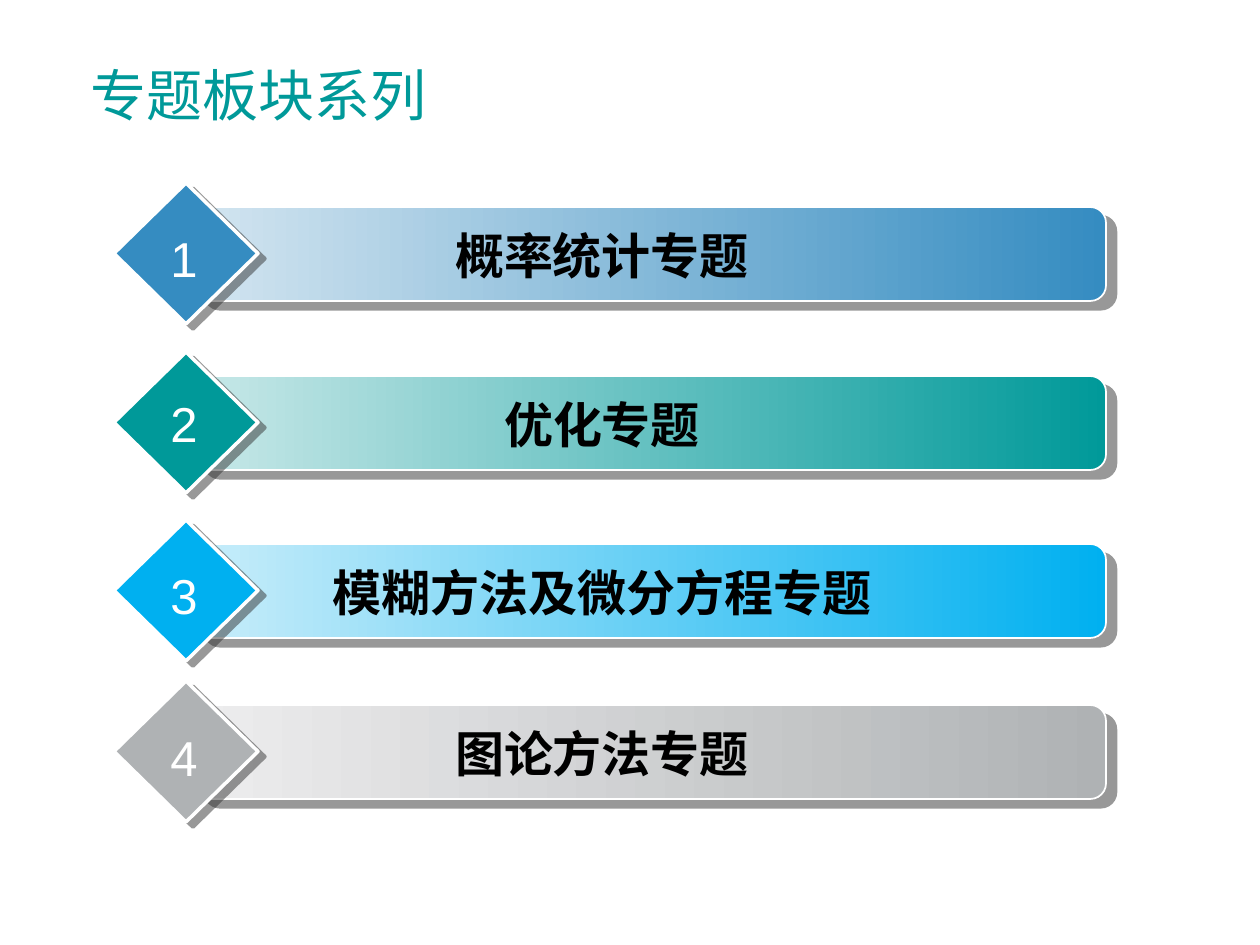
from lxml import etree
from pptx import Presentation
from pptx import util as u
from pptx.dml.color import RGBColor
from pptx.enum import shapes, text
from pptx.oxml import ns

SCALE = 914400 / 126
COLORS = {
    "title": "009999",
    "text": "000000",
    "white": "FFFFFF",
    "shadow": "333333",
    "blue": "358CC1",
    "blue_pale": "D3E5F0",
    "teal": "009999",
    "teal_pale": "C8E8E8",
    "sky": "00B0F0",
    "sky_pale": "C8EDFA",
    "gray": "AFB2B4",
    "gray_pale": "EDEDEE",
}
TOPICS = [
    (183, 222, "blue", "概率统计专题"),
    (352, 387, "teal", "优化专题"),
    (520, 559, "sky", "模糊方法及微分方程专题"),
    (681, 721, "gray", "图论方法专题"),
]


def px(*lengths):
    return [u.Emu(round(n * SCALE)) for n in lengths]


def rgb(name):
    return RGBColor.from_string(COLORS[name])


def apply(target, values):
    for name, value in values.items():
        setattr(target, name, value)


class TopicSlide:
    title_font = {"name": "Lato", "size": u.Pt(32), "bold": False}
    number_font = {"name": "Arial", "size": u.Pt(28), "bold": False}
    label_font = {"name": "Arial", "size": u.Pt(28), "bold": True}

    def __init__(self, prs):
        self.s = prs.slides.add_slide(prs.slide_layouts[5])

    def add_words(self, tf, words, font, color, align):
        p = tf.paragraphs[0]
        p.alignment = align
        r = p.add_run()
        r.text = words
        apply(r.font, font)
        r.font.color.rgb = rgb(color)
        return p

    def title(self, box, words):
        sp = self.s.shapes.title
        apply(sp, dict(zip(("left", "top", "width", "height"), px(*box))))
        tf = sp.text_frame
        apply(tf, {"vertical_anchor": text.MSO_ANCHOR.BOTTOM,
                   "auto_size": text.MSO_AUTO_SIZE.NONE, "word_wrap": True})
        p = self.add_words(tf, words, self.title_font, "title", text.PP_ALIGN.LEFT)
        p.line_spacing = 0.9

    def shadow(self, sp, distance, angle):
        sp.shadow.inherit = False
        effects = sp._element.spPr.find(ns.qn("a:effectLst"))
        outer = etree.SubElement(effects, ns.qn("a:outerShdw"), dist=str(u.Pt(distance)),
                                 dir=str(angle * 60000), algn="ctr", rotWithShape="0")
        color = etree.SubElement(outer, ns.qn("a:srgbClr"), val=COLORS["shadow"])
        etree.SubElement(color, ns.qn("a:alpha"), val="50000")

    def outline(self, sp, width):
        sp.line.color.rgb = rgb("white")
        sp.line.width = u.Pt(width)

    def bar(self, group, box, color):
        sp = group.shapes.add_shape(shapes.MSO_SHAPE.ROUNDED_RECTANGLE, *px(*box))
        sp.adjustments[0] = 0.167
        sp.fill.gradient()
        sp.fill.gradient_angle = 180
        for stop, name in zip(sp.fill.gradient_stops, (color, color + "_pale")):
            stop.color.rgb = rgb(name)
        self.outline(sp, 1)
        self.shadow(sp, 7.8, 40)

    def diamond(self, group, box, color):
        sp = group.shapes.add_shape(shapes.MSO_SHAPE.DIAMOND, *px(*box))
        sp.fill.solid()
        sp.fill.fore_color.rgb = rgb(color)
        self.outline(sp, 2)
        self.shadow(sp, 5, 37)

    def label(self, group, box, words, font, color, wrap):
        tf = group.shapes.add_textbox(*px(*box)).text_frame
        apply(tf, {"word_wrap": wrap, "auto_size": text.MSO_AUTO_SIZE.SHAPE_TO_FIT_TEXT})
        self.add_words(tf, words, font, color, text.PP_ALIGN.CENTER)

    def topic(self, number, top, number_top, color, words):
        group = self.s.shapes.add_group_shape()
        self.bar(group, (194, top + 24, 912, 94), color)
        self.diamond(group, (114, top, 144, 141), color)
        self.label(group, (242, top + 36, 720, 72), words, self.label_font, "text", True)
        self.label(group, (158, number_top, 51, 72), str(number),
                   self.number_font, "white", False)


def main():
    prs = Presentation()
    prs.slide_width, prs.slide_height = px(1260, 945)
    slide = TopicSlide(prs)
    slide.title((78, 52, 1057, 83), "专题板块系列")
    for number, (top, number_top, color, words) in enumerate(TOPICS, 1):
        slide.topic(number, top, number_top, color, words)
    prs.save("out.pptx")


if __name__ == "__main__":
    main()
